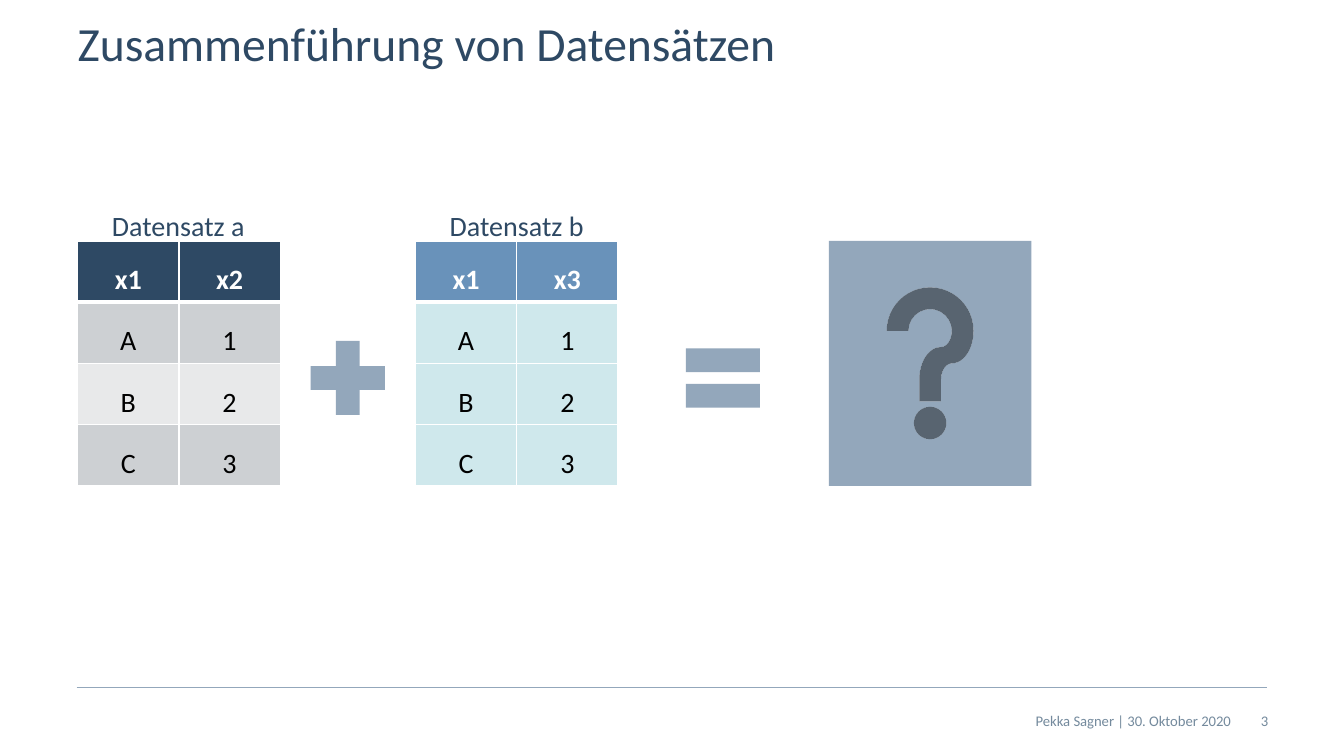
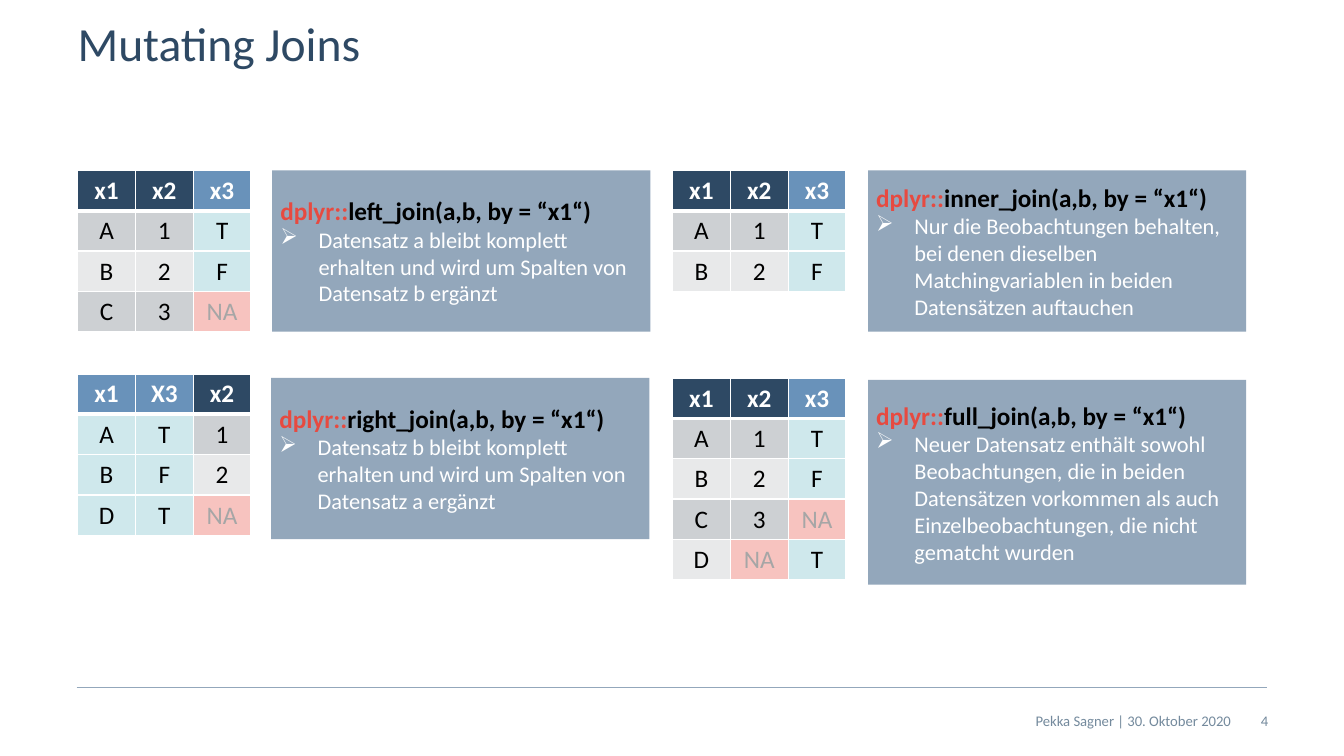
import pptx
import pptx.dml.color
import pptx.enum.shapes
import pptx.enum.text
import pptx.oxml.ns
import pptx.util
from lxml import etree

PX = 9144
FONT = "Calibri"
COLORS = {
    "navy": "2E4964", "blue": "6992BA", "steel": "93A7BB", "footer": "748A9D",
    "gray": "CDD0D3", "pale": "E8E9EA", "aqua": "CFE8EC", "rose": "F7C3BF",
    "muted": "A6A6A6", "red": "E74A40", "white": "FFFFFF", "black": "000000",
}
HEADERS = {"a": "navy", "b": "blue"}
BANDS = {"a": ("gray", "pale"), "b": ("aqua", "aqua")}
ALIGN = pptx.enum.text.PP_ALIGN
ANCHOR = pptx.enum.text.MSO_ANCHOR
SHAPE = pptx.enum.shapes.MSO_SHAPE


def emu(*lengths):
    """Turn px lengths into EMU."""
    return [pptx.util.Emu(n * PX) for n in lengths]


def rgb(name):
    """Look up a palette colour."""
    return pptx.dml.color.RGBColor.from_string(COLORS[name])


def sub(parent, tag, **attrs):
    """Append a DrawingML element."""
    return etree.SubElement(parent, pptx.oxml.ns.qn(tag), **attrs)


def add_run(p, text, size, color, bold=False):
    """Append a formatted run to a paragraph."""
    r = p.add_run()
    r.text = text
    r.font.name = FONT
    r.font.size = pptx.util.Pt(size)
    r.font.bold = bold
    r.font.color.rgb = rgb(color)


def set_frame(tf, inset, anchor, wrap=True):
    """Set insets, anchor and wrapping of a text frame."""
    tf.margin_left = tf.margin_top = tf.margin_right = tf.margin_bottom = emu(inset)[0]
    tf.vertical_anchor = anchor
    tf.word_wrap = wrap


def add_label(s, box, text, size, color, align, inset=0, anchor=ANCHOR.MIDDLE, wrap=True):
    """Add a one-line text box."""
    tf = s.shapes.add_textbox(*emu(*box)).text_frame
    set_frame(tf, inset, anchor, wrap)
    p = tf.paragraphs[0]
    p.alignment = align
    add_run(p, text, size, color)


def add_block(s, kind, box):
    """Add a flat steel-coloured preset shape."""
    sp = s.shapes.add_shape(kind, *emu(*box))
    sp.shadow.inherit = False
    sp.fill.solid()
    sp.fill.fore_color.rgb = rgb("steel")
    sp.line.fill.background()
    return sp


def set_borders(cell, row):
    """Draw white cell borders, thick below the header."""
    tc_pr = cell._tc.get_or_add_tcPr()
    thick = {0: "B", 1: "T"}.get(row)
    for side in "LRTB":
        width = pptx.util.Pt(3 if side == thick else 1)
        ln = sub(tc_pr, f"a:ln{side}", w=str(int(width)))
        sub(sub(ln, "a:solidFill"), "a:srgbClr", val=COLORS["white"])


def add_data_table(s, box, sources, rows, size):
    """Add a table whose columns are coloured by their source dataset."""
    shape = s.shapes.add_table(len(rows), len(sources), *emu(*box))
    for i, row in enumerate(rows):
        for j, (source, text) in enumerate(zip(sources, row.split())):
            if i == 0:
                fill, color = HEADERS[source], "white"
            elif text == "NA":
                fill, color = "rose", "muted"
            else:
                fill, color = BANDS[source][(i - 1) % 2], "black"
            cell = shape.table.cell(i, j)
            set_borders(cell, i)
            cell.fill.solid()
            cell.fill.fore_color.rgb = rgb(fill)
            cell.vertical_anchor = ANCHOR.BOTTOM
            p = cell.text_frame.paragraphs[0]
            p.alignment = ALIGN.CENTER
            add_run(p, text, size, color, i == 0)


def add_join_note(s, box, function, text):
    """Add the panel with a join call and its explanation."""
    tf = add_block(s, SHAPE.RECTANGLE, box).text_frame
    set_frame(tf, 8, ANCHOR.MIDDLE)
    p = tf.paragraphs[0]
    p.alignment = ALIGN.LEFT
    add_run(p, "dplyr::", 18, "red", True)
    add_run(p, f"{function}(a,b, by = “x1“)", 18, "black", True)
    p = tf.add_paragraph()
    p.alignment = ALIGN.LEFT
    p_pr = p._p.get_or_add_pPr()
    indent = emu(38)[0]
    p_pr.set("marL", str(indent))
    p_pr.set("indent", str(-indent))
    sub(p_pr, "a:buChar", char="➢")
    add_run(p, text, 16, "white")


def add_join(s, box, note_offset, sources, rows, function, text):
    """Place a result table and, to its right, its join note."""
    x, y, w, h = box
    dx, dy = note_offset
    add_data_table(s, (x, y, 172, 40 * len(rows)), sources, rows, 18)
    add_join_note(s, (x + dx, y + dy, w - dx, h), function, text)


def add_dataset(s, box, name, sources, rows):
    """Place a dataset table with its name centred above."""
    x, y, w, h = box
    add_data_table(s, box, sources, rows, 20)
    add_label(s, (x + 26, y - 40, w - 52, 50), name, 20, "navy", ALIGN.LEFT, 8, ANCHOR.TOP, False)


def set_title_style(layout):
    """Place the title once on the layout."""
    title = layout.placeholders[0]
    title.left, title.top, title.width, title.height = emu(77, 20, 1180, 63)
    set_frame(title.text_frame, 0, ANCHOR.TOP)
    title.text_frame.auto_size = pptx.enum.text.MSO_AUTO_SIZE.NONE


def add_slide(prs, title, number):
    """Add a slide with title, footer rule, author and number."""
    s = prs.slides.add_slide(prs.slide_layouts[5])
    p = s.shapes.title.text_frame.paragraphs[0]
    p.alignment = ALIGN.LEFT
    p.line_spacing = 0.9
    add_run(p, title, 34, "navy")
    rule = s.shapes.add_connector(pptx.enum.shapes.MSO_CONNECTOR.STRAIGHT, *emu(76, 682, 1257, 682))
    rule.line.color.rgb = rgb("steel")
    rule.line.width = pptx.util.Pt(1)
    sub(rule._element.spPr, "a:effectLst")
    add_label(s, (1220, 695, 38, 40), str(number), 10.5, "footer", ALIGN.RIGHT)
    add_label(s, (604, 695, 617, 40), "Pekka Sagner | 30. Oktober 2020", 10.5, "footer", ALIGN.RIGHT)
    return s


def build_merge_slide(prs):
    """Build the slide that asks what merging two datasets gives."""
    s = add_slide(prs, "Zusammenführung von Datensätzen", 3)
    y, w, h = 239, 201, 243
    add_dataset(s, (77, y, w, h), "Datensatz a", "aa", ["x1 x2", "A 1", "B 2", "C 3"])
    add_dataset(s, (412, y, w, h), "Datensatz b", "bb", ["x1 x3", "A 1", "B 2", "C 3"])
    add_block(s, SHAPE.MATH_PLUS, (295, 325, 100, 100))
    add_block(s, SHAPE.MATH_EQUAL, (667, 325, 100, 100))
    add_block(s, SHAPE.ACTION_BUTTON_HELP, (822, y, w, h))


def build_joins_slide(prs):
    """Build the overview of the four mutating joins."""
    s = add_slide(prs, "Mutating Joins", 4)
    joins = [
        ((77, 169, 568, 160), (193, 0), "aab", ["x1 x2 x3", "A 1 T", "B 2 F", "C 3 NA"], "left_join",
         "Datensatz a bleibt komplett erhalten und wird um Spalten von Datensatz b ergänzt"),
        ((77, 371, 567, 160), (192, 4), "bba", ["x1 X3 x2", "A T 1", "B F 2", "D T NA"], "right_join",
         "Datensatz b bleibt komplett erhalten und wird um Spalten von Datensatz a ergänzt"),
        ((667, 169, 569, 160), (194, 0), "aab", ["x1 x2 x3", "A 1 T", "B 2 F"], "inner_join",
         "Nur die Beobachtungen behalten, bei denen dieselben Matchingvariablen "
         "in beiden Datensätzen auftauchen"),
        ((667, 375, 569, 203), (194, 2), "aab",
         ["x1 x2 x3", "A 1 T", "B 2 F", "C 3 NA", "D NA T"], "full_join",
         "Neuer Datensatz enthält sowohl Beobachtungen, die in beiden Datensätzen vorkommen "
         "als auch Einzelbeobachtungen, die nicht gematcht wurden"),
    ]
    for join in joins:
        add_join(s, *join)


def main():
    """Build and save the presentation."""
    prs = pptx.Presentation()
    prs.slide_width, prs.slide_height = emu(1333, 750)
    set_title_style(prs.slide_layouts[5])
    build_merge_slide(prs)
    build_joins_slide(prs)
    prs.save("out.pptx")


if __name__ == "__main__":
    main()
